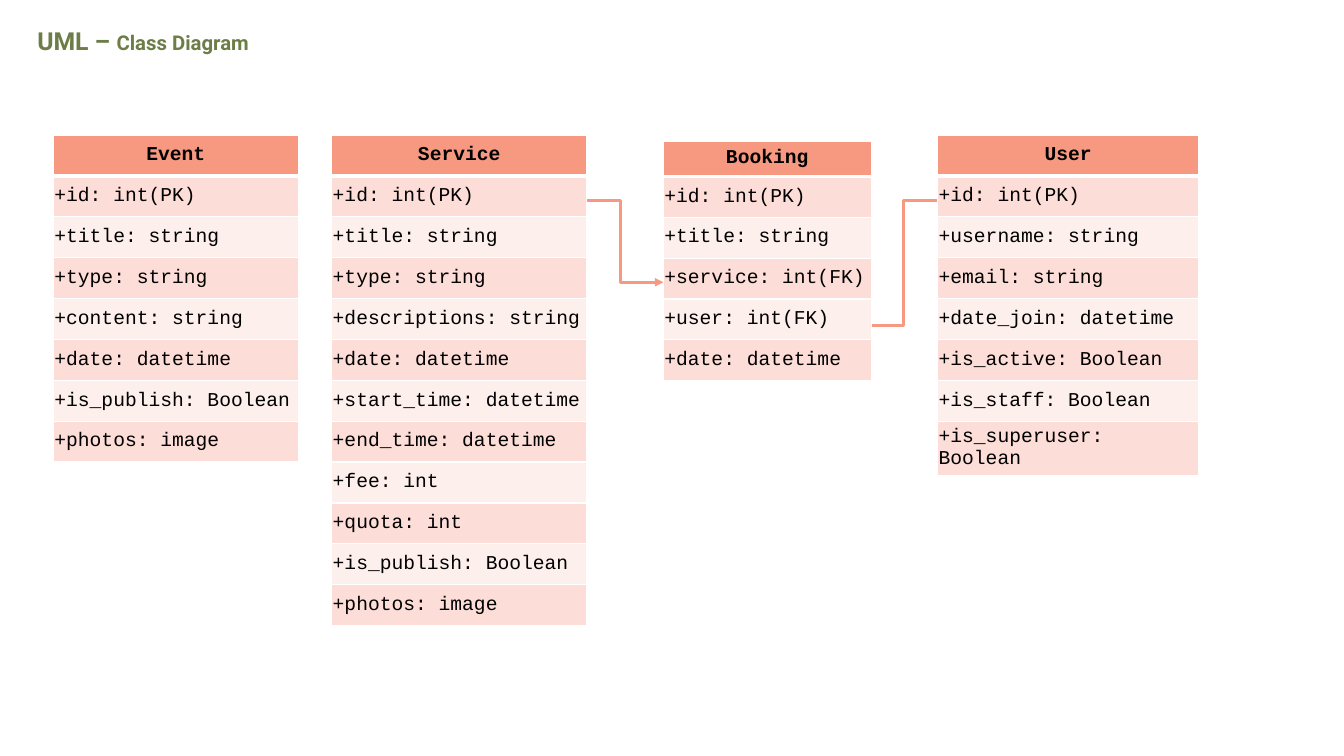
from lxml.etree import SubElement
from pptx import Presentation
from pptx.dml.color import RGBColor
from pptx.enum.shapes import MSO_CONNECTOR
from pptx.enum.text import MSO_ANCHOR, PP_ALIGN
from pptx.oxml.ns import qn
from pptx.util import Inches, Pt

COLORS = {
    "title": "6C7D47",
    "header": "F79880",
    "odd_row": "FCDDD7",
    "even_row": "FDEFEC",
    "border": "FFFFFF",
    "text": "000000",
}
ROW_HEIGHT = 4.87 / 12
THIN, THICK = 0.96, 3

# name, left, top, width, header height, fields
CLASSES = [
    ("Booking", 6.58, 1.4, 2.06, 0.35, [
        "+id: int(PK)", "+title: string", "+service: int(FK)",
        "+user: int(FK)", "+date: datetime"]),
    ("User", 9.3, 1.34, 2.59, ROW_HEIGHT, [
        "+id: int(PK)", "+username: string", "+email: string",
        "+date_join: datetime", "+is_active: Boolean",
        "+is_staff: Boolean", "+is_superuser: Boolean"]),
    ("Service", 3.29, 1.34, 2.53, ROW_HEIGHT, [
        "+id: int(PK)", "+title: string", "+type: string",
        "+descriptions: string", "+date: datetime",
        "+start_time: datetime", "+end_time: datetime", "+fee: int",
        "+quota: int", "+is_publish: Boolean", "+photos: image"]),
    ("Event", 0.53, 1.34, 2.43, ROW_HEIGHT, [
        "+id: int(PK)", "+title: string", "+type: string",
        "+content: string", "+date: datetime",
        "+is_publish: Boolean", "+photos: image"]),
]

# begin, end, share of the width before the bend
RELATIONS = [
    ((5.52, 1.99), (6.58, 2.8), 0.6),
    ((9.87, 1.99), (8.54, 3.23), 0.68),
]


def color(name):
    return RGBColor.from_string(COLORS[name])


def add_title(slide, left, top, width, height):
    title = slide.shapes.title
    title.left, title.top = Inches(left), Inches(top)
    title.width, title.height = Inches(width), Inches(height)
    text_frame = title.text_frame
    text_frame.vertical_anchor = MSO_ANCHOR.TOP
    paragraph = text_frame.paragraphs[0]
    paragraph.alignment = PP_ALIGN.LEFT
    paragraph.line_spacing = 0.9
    for text, size in (("UML – ", 17.7), ("Class Diagram", 14.5)):
        run = paragraph.add_run()
        run.text = text
        run.font.name = "Roboto"
        run.font.size = Pt(size)
        run.font.bold = True
        run.font.color.rgb = color("title")


def add_relation(slide, begin, end, bend):
    """Draw an elbow arrow that turns at the given share of its width."""
    connector = slide.shapes.add_connector(
        MSO_CONNECTOR.ELBOW, *(Inches(value) for value in begin + end))
    connector.line.color.rgb = color("header")
    connector.line.width = Pt(2)
    properties = connector._element.spPr
    SubElement(properties.find(qn("a:ln")), qn("a:tailEnd"), type="triangle")
    SubElement(properties, qn("a:effectLst"))
    guides = properties.find(qn("a:prstGeom")).get_or_add_avLst()
    SubElement(guides, qn("a:gd"), name="adj1", fmla=f"val {round(bend * 100000)}")


def add_borders(cell, top, bottom):
    """Put white borders on a cell, with the given top and bottom widths."""
    properties = cell._tc.get_or_add_tcPr()
    for side, width in (("L", THIN), ("R", THIN), ("T", top), ("B", bottom)):
        line = SubElement(properties, qn(f"a:ln{side}"), w=str(Pt(width)))
        fill = SubElement(line, qn("a:solidFill"))
        SubElement(fill, qn("a:srgbClr"), val=COLORS["border"])


def format_cell(cell, text, row):
    is_header = row == 0
    add_borders(cell, THICK if row == 1 else THIN, THICK if is_header else THIN)
    cell.fill.solid()
    cell.fill.fore_color.rgb = color(
        "header" if is_header else "odd_row" if row % 2 else "even_row")
    cell.vertical_anchor = MSO_ANCHOR.MIDDLE
    cell.margin_left = cell.margin_right = Inches(0.01)
    cell.margin_top = cell.margin_bottom = Inches(0.05)
    cell.text_frame.text = text
    paragraph = cell.text_frame.paragraphs[0]
    paragraph.alignment = PP_ALIGN.CENTER if is_header else PP_ALIGN.LEFT
    font = paragraph.runs[0].font
    font.name = "Courier New"
    font.size = Pt(14)
    font.bold = is_header
    font.color.rgb = color("text")


def add_class(slide, name, left, top, width, header_height, fields):
    height = header_height + ROW_HEIGHT * len(fields)
    table = slide.shapes.add_table(
        len(fields) + 1, 1,
        Inches(left), Inches(top), Inches(width), Inches(height)).table
    table.horz_banding = False
    for row, text in enumerate([name] + fields):
        table.rows[row].height = Inches(ROW_HEIGHT if row else header_height)
        format_cell(table.cell(row, 0), text, row)


def main():
    presentation = Presentation()
    presentation.slide_width = Inches(13.33)
    presentation.slide_height = Inches(7.5)
    slide = presentation.slides.add_slide(presentation.slide_layouts[5])
    add_title(slide, 0.27, 0.24, 6.73, 0.53)
    for relation in RELATIONS:
        add_relation(slide, *relation)
    for uml_class in CLASSES:
        add_class(slide, *uml_class)
    presentation.save("out.pptx")


if __name__ == "__main__":
    main()
